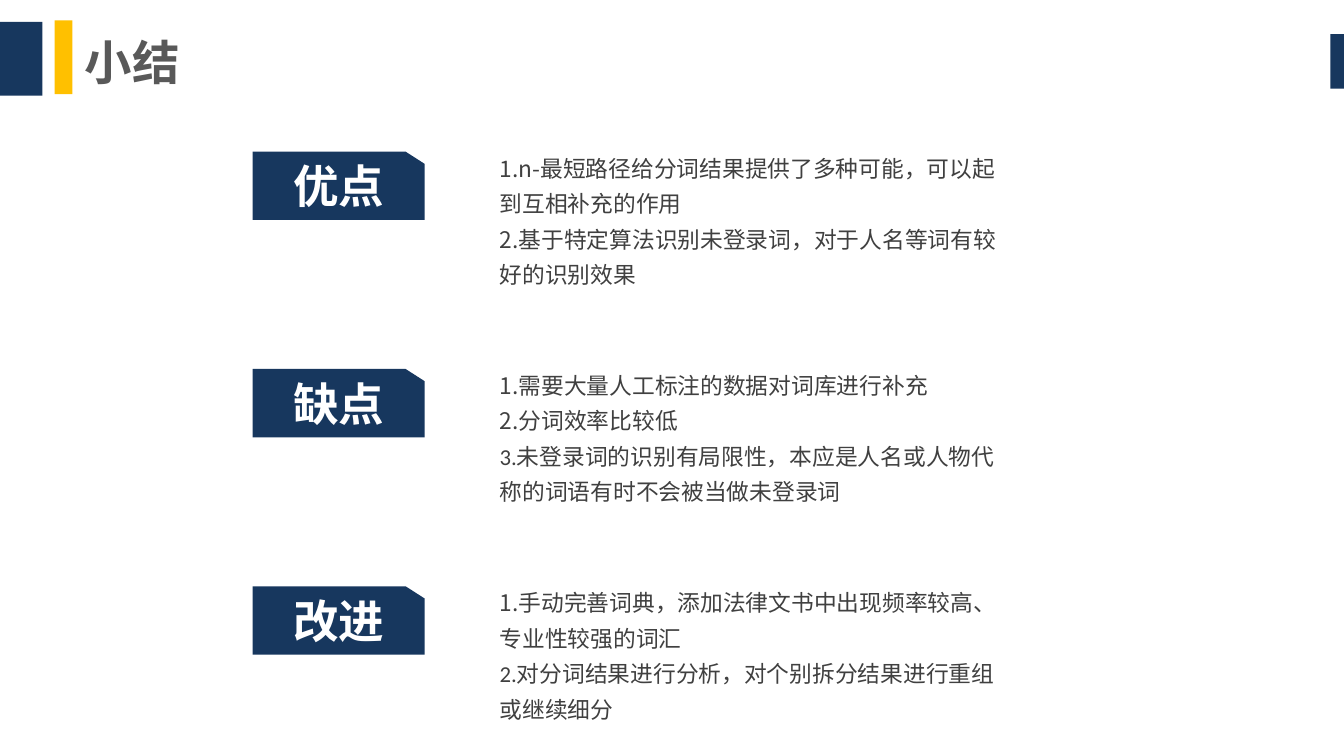
from dataclasses import dataclass

from lxml import etree
from pptx import Presentation
from pptx.dml.color import RGBColor
from pptx.enum.shapes import MSO_SHAPE
from pptx.enum.text import MSO_ANCHOR, MSO_AUTO_SIZE, PP_ALIGN
from pptx.oxml.ns import qn
from pptx.slide import Slide
from pptx.util import Emu, Pt

RECTANGLE = MSO_SHAPE.RECTANGLE
MIDDLE, TOP = MSO_ANCHOR.MIDDLE, MSO_ANCHOR.TOP
FIXED_SIZE = MSO_AUTO_SIZE.NONE
LEFT = PP_ALIGN.LEFT

NAVY = RGBColor(0x17, 0x37, 0x5E)
GOLD = RGBColor(0xFF, 0xC0, 0x00)
TITLE_GREY = RGBColor(0x59, 0x59, 0x59)
BODY_GREY = RGBColor(0x40, 0x40, 0x40)
WHITE = RGBColor(0xFF, 0xFF, 0xFF)

LATIN_FONT = "Calibri"
CJK_FONT = "Noto Sans CJK SC"

EMU_PER_PX = 9144
SLIDE_WIDTH, SLIDE_HEIGHT = 984, 551
FIRST_TOP, SECTION_PITCH = 111, 159
TAG_LEFT, TAG_WIDTH, TAG_HEIGHT = 185, 126, 50
CUT_WIDTH, CUT_HEIGHT = 14, 9
LABEL_INDENT = 20
POINTS_LEFT, POINTS_RISE = 356, 9
POINTS_WIDTH, POINTS_HEIGHT = 396, 114


@dataclass(frozen=True)
class Box:
    left: int
    top: int
    width: int
    height: int

    def emu(self) -> tuple[Emu, Emu, Emu, Emu]:
        return px(self.left), px(self.top), px(self.width), px(self.height)


@dataclass(frozen=True)
class Accent:
    box: Box
    color: RGBColor


@dataclass(frozen=True)
class Point:
    text: str
    number: str = ""


@dataclass(frozen=True)
class Section:
    label: str
    points: tuple[Point, ...]


ACCENTS = (
    Accent(Box(-1, 16, 32, 54), NAVY),
    Accent(Box(40, 15, 13, 54), GOLD),
    Accent(Box(974, 25, 15, 40), NAVY),
)

SECTIONS = (
    Section("优点", (
        Point("1.n-最短路径给分词结果提供了多种可能，可以起到互相补充的作用"),
        Point("2.基于特定算法识别未登录词，对于人名等词有较好的识别效果"),
    )),
    Section("缺点", (
        Point("1.需要大量人工标注的数据对词库进行补充"),
        Point("2.分词效率比较低"),
        Point("未登录词的识别有局限性，本应是人名或人物代称的词语有时不会被当做未登录词", "3."),
    )),
    Section("改进", (
        Point("1.手动完善词典，添加法律文书中出现频率较高、专业性较强的词汇"),
        Point("对分词结果进行分析，对个别拆分结果进行重组或继续细分", "2."),
    )),
)


def px(length: int) -> Emu:
    return Emu(length * EMU_PER_PX)


def paint(shape, color: RGBColor) -> None:
    shape.shadow.inherit = False
    shape.fill.solid()
    shape.fill.fore_color.rgb = color
    shape.line.fill.background()


def style(paragraph, size: int, color: RGBColor, latin: str, bold: bool = False) -> None:
    paragraph.alignment = LEFT
    font = paragraph.font
    font.size = Pt(size)
    font.bold = bold
    font.color.rgb = color
    font.name = latin
    defaults = paragraph._p.pPr.find(qn("a:defRPr"))
    etree.SubElement(defaults, qn("a:ea")).set("typeface", CJK_FONT)


def add_accent(slide: Slide, accent: Accent) -> None:
    paint(slide.shapes.add_shape(RECTANGLE, *accent.box.emu()), accent.color)


def set_title(slide: Slide, text: str, box: Box) -> None:
    title = slide.shapes.title
    title.left, title.top, title.width, title.height = box.emu()
    frame = title.text_frame
    frame.text = text
    frame.auto_size = FIXED_SIZE
    frame.vertical_anchor = MIDDLE
    frame.margin_left = frame.margin_right = 0
    frame.margin_top = frame.margin_bottom = 0
    style(frame.paragraphs[0], 25, TITLE_GREY, LATIN_FONT, bold=True)


def add_text_frame(slide: Slide, box: Box):
    frame = slide.shapes.add_textbox(*box.emu()).text_frame
    frame.word_wrap = True
    frame.vertical_anchor = TOP
    return frame


def add_tag(slide: Slide, label: str, top: int) -> None:
    right, bottom = TAG_LEFT + TAG_WIDTH, top + TAG_HEIGHT
    outline = slide.shapes.build_freeform(TAG_LEFT, top, scale=EMU_PER_PX)
    outline.add_line_segments((
        (right - CUT_WIDTH, top),
        (right, top + CUT_HEIGHT),
        (right, bottom),
        (TAG_LEFT, bottom),
    ))
    paint(outline.convert_to_shape(), NAVY)
    label_box = Box(TAG_LEFT + LABEL_INDENT, top, TAG_WIDTH - LABEL_INDENT, TAG_HEIGHT)
    frame = add_text_frame(slide, label_box)
    frame.text = label
    style(frame.paragraphs[0], 24, WHITE, LATIN_FONT, bold=True)


def add_points(slide: Slide, points: tuple[Point, ...], top: int) -> None:
    frame = add_text_frame(slide, Box(POINTS_LEFT, top, POINTS_WIDTH, POINTS_HEIGHT))
    for index, point in enumerate(points):
        paragraph = frame.add_paragraph() if index else frame.paragraphs[0]
        paragraph.line_spacing = 1.3
        style(paragraph, 12, BODY_GREY, CJK_FONT)
        if point.number:
            number = paragraph.add_run()
            number.text = point.number
            number.font.name = LATIN_FONT
        paragraph.add_run().text = point.text


def main() -> None:
    presentation = Presentation()
    presentation.slide_width = px(SLIDE_WIDTH)
    presentation.slide_height = px(SLIDE_HEIGHT)
    title_only = presentation.slide_layouts.get_by_name("Title Only")
    slide = presentation.slides.add_slide(title_only)

    for accent in ACCENTS:
        add_accent(slide, accent)
    set_title(slide, "小结", Box(62, 24, 368, 42))
    for index, section in enumerate(SECTIONS):
        top = FIRST_TOP + index * SECTION_PITCH
        add_tag(slide, section.label, top)
        add_points(slide, section.points, top - POINTS_RISE)

    presentation.save("out.pptx")


if __name__ == "__main__":
    main()
